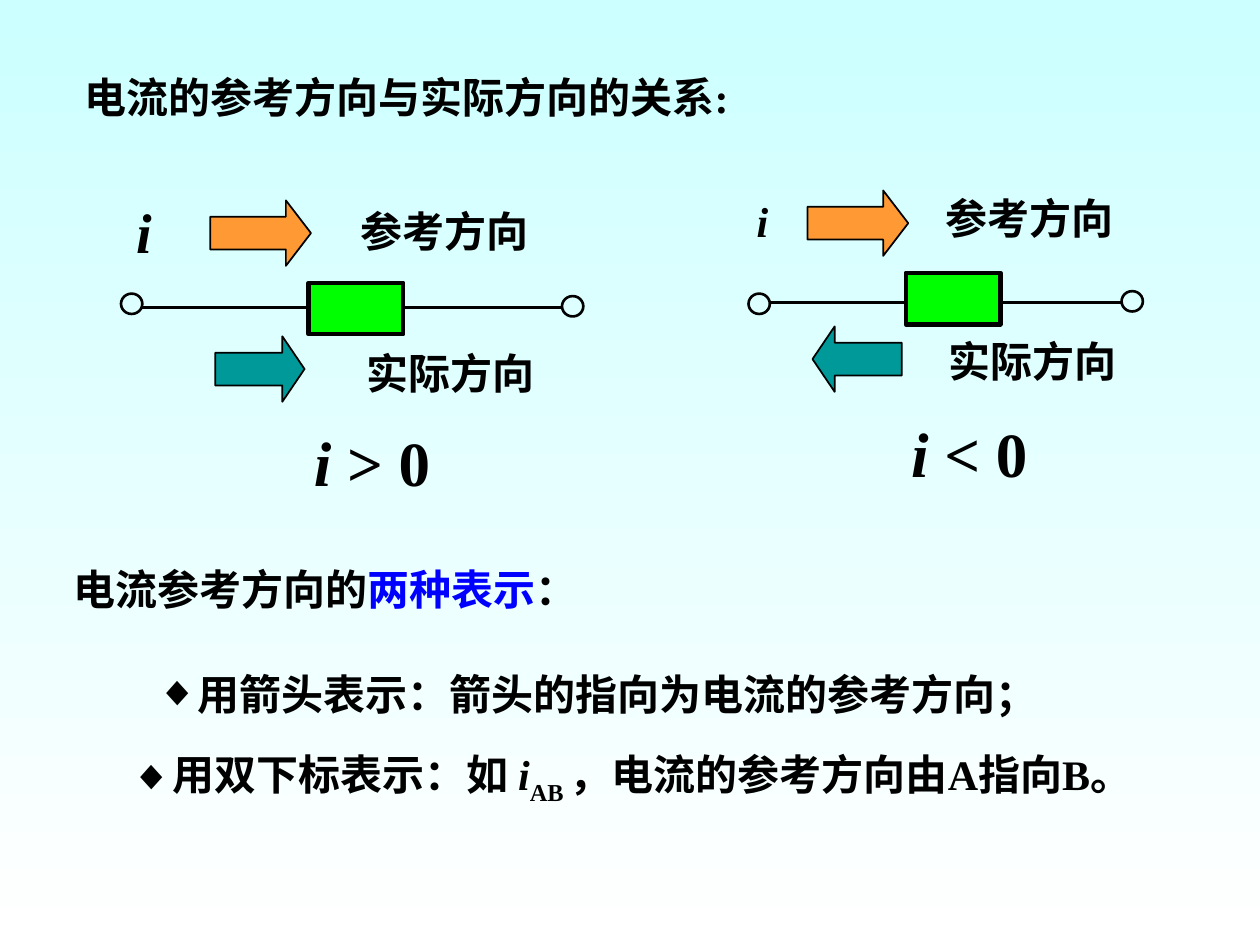
from lxml import etree
from pptx import Presentation
from pptx.dml.color import RGBColor
from pptx.enum.shapes import MSO_CONNECTOR, MSO_SHAPE
from pptx.enum.text import MSO_ANCHOR, MSO_AUTO_SIZE, PP_ALIGN
from pptx.oxml.ns import qn
from pptx.util import Cm, Pt

RIGHT, LEFT = MSO_SHAPE.RIGHT_ARROW, MSO_SHAPE.LEFT_ARROW
RECTANGLE, OVAL = MSO_SHAPE.RECTANGLE, MSO_SHAPE.OVAL
CENTER, ALIGN_LEFT = PP_ALIGN.CENTER, PP_ALIGN.LEFT

THEME = {
    "font": "Times New Roman",
    "ink": "000000", "accent": "0000FF",
    "reference": "FF9933", "actual": "009999", "resistor": "00FF00",
    "sky": "CCFFFF", "ground": "FFFFFF",
    "body": 24, "symbol": 32, "formula": 36,
}

# Runs are (text, format); boxes are (left, top, width, height) in cm.
TITLE = [("电流的参考方向与实际方向的关系:", {})]
TITLE_BOX = (1.35, 1.32, 13.69, 1.27)
NOTATION = [("电流参考方向的", {}), ("两种表示", {"color": "accent"}), ("：", {})]
NOTATION_BOX = (1.22, 11.23, 10.67, 1.27)
BULLETS = [
    {"runs": [("用箭头表示：箭头的指向为电流的参考方向；", {})],
     "box": (2.9, 13.34, 18.29, 1.27), "wrap": False, "hanging": 0},
    {"runs": [("用双下标表示：如 ", {}), ("i", {"italic": True}),
              ("AB ", {"baseline": -25000}),
              ("，电流的参考方向由A指向B。", {})],
     "box": (2.39, 14.4, 21.54, 2.54), "wrap": True, "hanging": 0.79},
]

# Each circuit is placed from the corner of its reference arrow.
CIRCUITS = [
    {"origin": (4.24, 4.04), "actual": RIGHT, "relation": " > 0",
     "symbol_size": "symbol", "symbol_middle": (2.9, 4.65),
     "reference_label": (7.02, 4.01), "actual_label": (7.14, 6.88),
     "terminals": [(2.44, 5.92), (11.33, 5.97)], "wire_y": 6.2},
    {"origin": (16.28, 3.84), "actual": LEFT, "relation": " < 0",
     "symbol_size": "body", "symbol_middle": (15.37, 4.45),
     "reference_label": (18.81, 3.76), "actual_label": (18.87, 6.63),
     "terminals": [(15.09, 5.92), (22.61, 5.87)], "wire_y": 6.1},
]
LABEL_SIZE = (3.89, 1.27)
SYMBOL_SIZE = (1.4, 1.6)
TERMINAL_SIZE = (0.43, 0.41)


def rgb(role):
    return RGBColor.from_string(THEME[role])


def add_bullet(paragraph, hanging):
    properties = paragraph._p.get_or_add_pPr()
    properties.set("marL", str(Cm(hanging)))
    properties.set("indent", str(-Cm(hanging)))
    color = etree.SubElement(properties, qn("a:buClr"))
    etree.SubElement(color, qn("a:srgbClr"), val=THEME["ink"])
    etree.SubElement(properties, qn("a:buFont"), typeface=THEME["font"])
    etree.SubElement(properties, qn("a:buChar"), char="◆")


def write(slide, runs, box, holder=None, size="body", align=CENTER,
          wrap=False, hanging=None):
    """Put formatted runs in a new text box, or in the given placeholder."""
    lengths = [Cm(value) for value in box]
    if holder is None:
        holder = slide.shapes.add_textbox(*lengths)
    else:
        holder.left, holder.top, holder.width, holder.height = lengths
    frame = holder.text_frame
    frame.word_wrap = wrap
    frame.auto_size = MSO_AUTO_SIZE.NONE
    frame.vertical_anchor = MSO_ANCHOR.MIDDLE
    paragraph = frame.paragraphs[0]
    paragraph.alignment = align
    if hanging is not None:
        add_bullet(paragraph, hanging)
    for text, style in runs:
        run = paragraph.add_run()
        run.text = text
        font = run.font
        font.name = THEME["font"]
        font.size = Pt(THEME[size])
        font.bold = True
        font.italic = style.get("italic", False)
        font.color.rgb = rgb(style.get("color", "ink"))
        if "baseline" in style:
            font._element.set("baseline", str(style["baseline"]))


def add_part(slide, preset, box, fill=None, weight=1.0, head=None):
    part = slide.shapes.add_shape(preset, *[Cm(value) for value in box])
    part.shadow.inherit = False
    if fill:
        part.fill.solid()
        part.fill.fore_color.rgb = rgb(fill)
    else:
        part.fill.background()
    part.line.color.rgb = rgb("ink")
    part.line.width = Pt(weight)
    if head:
        part.adjustments[0] = 0.5
        part.adjustments[1] = head


def add_wire(slide, start_x, end_x, y):
    wire = slide.shapes.add_connector(
        MSO_CONNECTOR.STRAIGHT, Cm(start_x), Cm(y), Cm(end_x), Cm(y))
    wire.line.color.rgb = rgb("ink")
    wire.line.width = Pt(1.5)
    etree.SubElement(wire._element.spPr, qn("a:effectLst"))


def draw_circuit(slide, circuit):
    x, y = circuit["origin"]
    add_part(slide, RIGHT, (x, y, 2.03, 1.32), "reference", head=0.383)
    add_part(slide, circuit["actual"], (x + 0.1, y + 2.74, 1.8, 1.32),
             "actual", head=0.339)

    terminals = circuit["terminals"]
    add_wire(slide, terminals[0][0] + TERMINAL_SIZE[0], terminals[1][0],
             circuit["wire_y"])
    for corner in terminals:
        add_part(slide, OVAL, corner + TERMINAL_SIZE, weight=1.5)
    add_part(slide, RECTANGLE, (x + 1.98, y + 1.66, 1.91, 1.04),
             "resistor", weight=2.5)

    symbol = ("i", {"italic": True})
    middle_x, middle_y = circuit["symbol_middle"]
    width, height = SYMBOL_SIZE
    write(slide, [symbol],
          (middle_x - width / 2, middle_y - height / 2, width, height),
          size=circuit["symbol_size"])
    write(slide, [("参考方向", {})], circuit["reference_label"] + LABEL_SIZE)
    write(slide, [("实际方向", {})], circuit["actual_label"] + LABEL_SIZE)
    write(slide, [symbol, (circuit["relation"], {})],
          (x + 1.84, y + 4.38, 2.84, 1.78), size="formula")


def paint_background(slide):
    fill = slide.background.fill
    fill.gradient()
    fill.gradient_angle = 270
    for stop, position, role in zip(fill.gradient_stops, (0, 1), ("sky", "ground")):
        stop.position = position
        stop.color.rgb = rgb(role)


def main():
    deck = Presentation()
    deck.slide_width, deck.slide_height = Cm(25.4), Cm(19.05)
    slide = deck.slides.add_slide(deck.slide_layouts.get_by_name("Title Only"))
    paint_background(slide)
    write(slide, TITLE, TITLE_BOX, holder=slide.shapes.title)
    for circuit in CIRCUITS:
        draw_circuit(slide, circuit)
    write(slide, NOTATION, NOTATION_BOX)
    for bullet in BULLETS:
        write(slide, bullet["runs"], bullet["box"], align=ALIGN_LEFT,
              wrap=bullet["wrap"], hanging=bullet["hanging"])
    deck.save("out.pptx")


if __name__ == "__main__":
    main()
